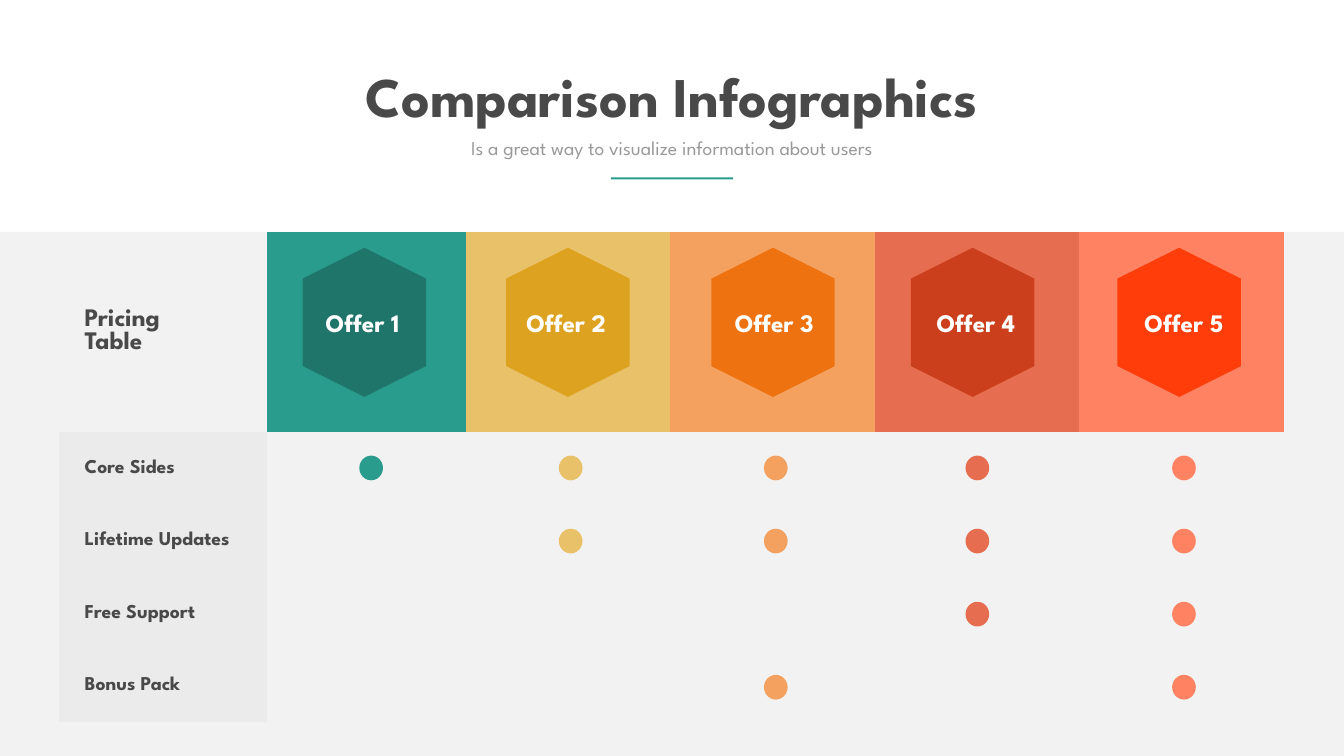
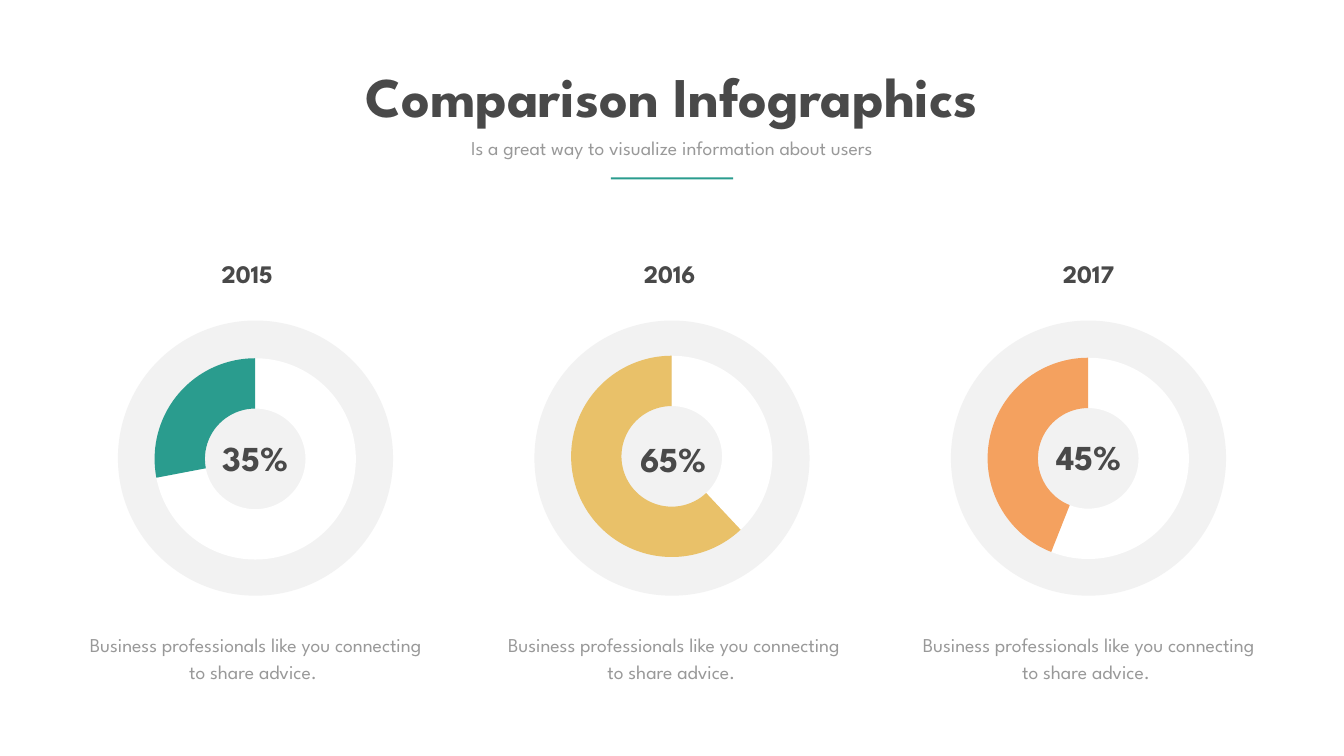
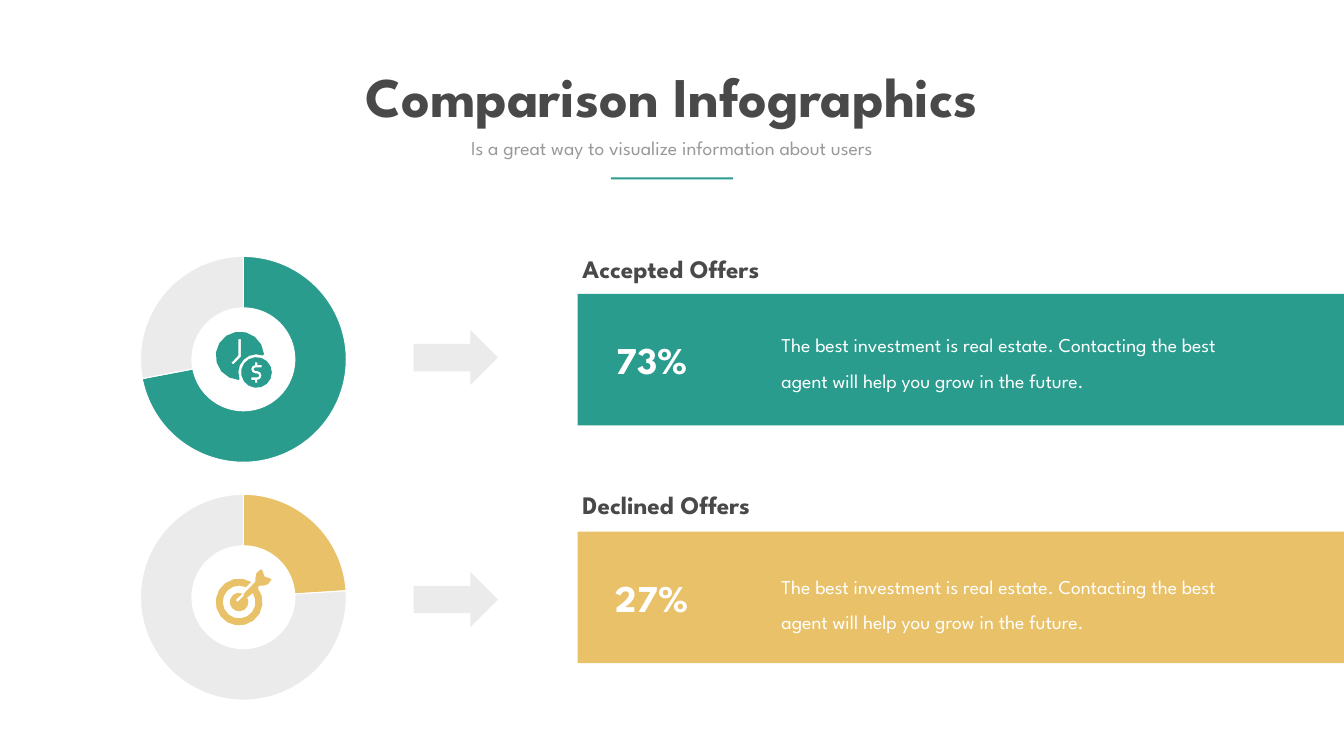
from math import ceil, cos, radians, sin

from pptx import Presentation
from pptx.chart.data import CategoryChartData
from pptx.dml.color import RGBColor
from pptx.enum.chart import XL_CHART_TYPE as CT
from pptx.enum.shapes import MSO_SHAPE as SHAPE
from pptx.enum.text import MSO_ANCHOR as ANCHOR, MSO_AUTO_SIZE as AUTO, PP_ALIGN as ALIGN
from pptx.oxml.ns import qn
from pptx.util import Inches, Pt

W, H = 26.67, 15
FONT = "League Spartan"
NO_GRID = "{2D5ABB26-0587-4C30-8999-92F81FD0307C}"
C = {
    "white": "FFFFFF", "ink": "494949", "muted": "999999",
    "pale": "F2F2F2", "grey": "EBEBEB",
    "teal": "2A9C8E", "gold": "E9C169", "orange": "F4A15F", "red": "E66D50", "coral": "FF8362",
    "teal_dark": "20756B", "gold_dark": "DDA220", "orange_dark": "EE7210",
    "red_dark": "CB3F1D", "coral_dark": "FF3D0A",
}

TITLE = "Comparison Infographics"
SUBTITLE = "Is a great way to visualize information about users"

FEATURES = ["Core Sides", "Lifetime Updates", "Free Support", "Bonus Pack"]
OFFERS = [
    dict(name="Offer 1", color="teal", rows=[0], hex_x=5.99, label_x=6, dot_x=7.13),
    dict(name="Offer 2", color="gold", rows=[0, 1], hex_x=10.03, label_x=10.04, dot_x=11.09),
    dict(name="Offer 3", color="orange", rows=[0, 1, 3], hex_x=14.1, label_x=14.17, dot_x=15.16),
    dict(name="Offer 4", color="red", rows=[0, 1, 2], hex_x=18.06, label_x=18.17, dot_x=19.16),
    dict(name="Offer 5", color="coral", rows=[0, 1, 2, 3], hex_x=22.16, label_x=22.3, dot_x=23.26),
]

YEAR_NOTE = "Business professionals like you connecting to share advice. "
YEARS = [
    dict(year="2015", pct="35%", vals=(72, 28), color="teal",
         year_x=3.74, year_w=2.33, ring_y=6.97, pct_x=3.85, pct_y=8.61, note_x=1.55),
    dict(year="2016", pct="65%", vals=(38, 62), color="gold",
         year_x=11.87, year_w=2.84, ring_y=6.92, pct_x=12.15, pct_y=8.63, note_x=9.85),
    dict(year="2017", pct="45%", vals=(56, 44), color="orange",
         year_x=20.29, year_w=2.62, ring_y=6.96, pct_x=20.39, pct_y=8.59, note_x=18.08),
]

OFFER_NOTE = ("The best investment is real estate. Contacting the best "
              "agent will help you grow in the future.")
RESULTS = [
    dict(name="Accepted Offers", pct="73%", vals=(72, 28), color="teal",
         bar=5.83, head=4.98, note=6.33, arrow=6.55),
    dict(name="Declined Offers", pct="27%", vals=(24, 76), color="gold",
         bar=10.55, head=9.66, note=11.12, arrow=11.35),
]


def rgb(name):
    return RGBColor.from_string(C[name])


def style(p, size, color, bold=False, align=None):
    p.alignment = align
    for r in p.runs:
        f = r.font
        f.name, f.size, f.bold = FONT, Pt(size), bold
        f.color.rgb = rgb(color)


def paint(sp, color):
    sp.shadow.inherit = False
    sp.fill.solid()
    sp.fill.fore_color.rgb = rgb(color)
    sp.line.fill.background()
    return sp


def shape(s, kind, x, y, w, h, color):
    return paint(s.shapes.add_shape(kind, *map(Inches, (x, y, w, h))), color)


def text(s, words, x, y, w, h, size, color, bold=False, align=ALIGN.CENTER, spacing=None):
    tf = s.shapes.add_textbox(*map(Inches, (x, y, w, h))).text_frame
    tf.word_wrap, tf.auto_size = True, AUTO.SHAPE_TO_FIT_TEXT
    tf.text = words
    p = tf.paragraphs[0]
    style(p, size, color, bold, align)
    if spacing:
        p.line_spacing = spacing


def doughnut(s, x, y, w, h, vals, colors, hole, font, size, border=None):
    data = CategoryChartData()
    data.categories = ["1", "2"]
    data.add_series("Series 1", vals)
    chart = s.shapes.add_chart(CT.DOUGHNUT, *map(Inches, (x, y, w, h)), data).chart
    chart.has_title = chart.has_legend = False
    f = chart.font
    f.name, f.size = font, Pt(size)
    f.color.rgb = rgb("muted")
    plot = chart.plots[0]
    plot.vary_by_categories = True
    plot._element.find(qn("c:holeSize")).set("val", str(hole))
    for i, color in enumerate(colors):
        fmt = plot.series[0].points[i].format
        fmt.fill.solid()
        fmt.fill.fore_color.rgb = rgb(color)
        if border:
            fmt.line.color.rgb = rgb(border)
            fmt.line.width = Pt(1.5)
        else:
            fmt.line.fill.background()


def arc(cx, cy, r, start, end, step=24):
    n = ceil(abs(end - start) / step)
    angles = [radians(start + (end - start) * i / n) for i in range(n + 1)]
    return [(cx + r * cos(a), cy + r * sin(a)) for a in angles]


def outline(s, contours, color):
    scaled = [[(x * 1000, y * 1000) for x, y in c] for c in contours]
    fb = s.shapes.build_freeform(*scaled[0][0], scale=914.4)
    for i, c in enumerate(scaled):
        if i:
            fb.move_to(*c[0])
        fb.add_line_segments(c[1:], close=True)
    paint(fb.convert_to_shape(), color)


def new_slide(prs):
    s = prs.slides.add_slide(prs.slide_layouts[5])
    t = s.shapes.title
    t.left, t.top, t.width, t.height = map(Inches, (6.21, 1.17, 14.23, 1.45))
    tf = t.text_frame
    tf.text = TITLE
    tf.word_wrap, tf.auto_size, tf.vertical_anchor = False, AUTO.NONE, ANCHOR.TOP
    style(tf.paragraphs[0], 80, "ink", True, ALIGN.CENTER)
    text(s, SUBTITLE, 8.55, 2.65, 9.56, 0.57, 28, "muted")
    shape(s, SHAPE.RECTANGLE, 12.12, 3.52, 2.43, 0.04, "teal")
    return s


def pricing_table(s):
    cols, rows = [4.12, 3.94] + [4.06] * 4, [3.98] + [5.75 / 4] * 4
    frame = s.shapes.add_table(len(rows), len(cols), *map(Inches, (1.18, 4.6, sum(cols), sum(rows))))
    tbl = frame.table
    tbl._tbl.tblPr.find(qn("a:tableStyleId")).text = NO_GRID
    for i, w in enumerate(cols):
        tbl.columns[i].width = Inches(w)
    for i, h in enumerate(rows):
        tbl.rows[i].height = Inches(h)
    for i, label in enumerate(["Pricing\nTable"] + FEATURES):
        fills = ["grey"] + ["pale"] * 5 if i else ["pale"] + [d["color"] for d in OFFERS]
        for j, color in enumerate(fills):
            cell = tbl.cell(i, j)
            cell.fill.solid()
            cell.fill.fore_color.rgb = rgb(color)
        cell = tbl.cell(i, 0)
        cell.text = label
        cell.margin_left = Inches(0.5)
        cell.vertical_anchor = ANCHOR.MIDDLE
        for p in cell.text_frame.paragraphs:
            style(p, 28 if i else 36, "ink", True)


def pricing_slide(prs):
    s = new_slide(prs)
    shape(s, SHAPE.RECTANGLE, 0, 4.6, W, H - 4.6, "pale")
    pricing_table(s)
    for d in OFFERS:
        hexagon = shape(s, SHAPE.HEXAGON, d["hex_x"] - 0.24, 5.17, 2.96, 2.45, d["color"] + "_dark")
        hexagon.rotation = 270
    for d in OFFERS:
        text(s, d["name"], d["label_x"], 6.04, 2.39, 0.71, 36, "white", True)
    for d in OFFERS:
        for row in d["rows"]:
            shape(s, SHAPE.OVAL, d["dot_x"], 9.04 + 1.45 * row, 0.47, 0.49, d["color"])


def years_slide(prs):
    s = new_slide(prs)
    for i, d in enumerate(YEARS):
        ring_x = 2.34 + 8.265 * i
        shape(s, SHAPE.OVAL, ring_x, 6.36, 5.46, 5.46, "pale")
        text(s, YEAR_NOTE, d["note_x"], 12.43, 7.04, 1.18, 28, "muted", spacing=Pt(38.6))
        doughnut(s, ring_x - 0.48, d["ring_y"], 6.41, 4.27, d["vals"],
                 ["white", d["color"]], 75, "Calibri", 10)
        text(s, d["pct"], d["pct_x"], d["pct_y"], 2.43, 0.94, 50, "ink", True)
        text(s, d["year"], d["year_x"], 5.07, d["year_w"], 0.71, 36, "ink", True)


def clock_and_coin(s, color):
    hands = [(4.73, 6.73), (4.78, 6.73), (4.78, 7.08), (4.63, 7.23), (4.59, 7.2), (4.73, 7.05)]
    clock = arc(4.76, 7.06, 0.48, 92, 356) + arc(5.09, 7.39, 0.36, -70, -200)
    dollar = ([(5.06, 7.19), (5.11, 7.19), (5.11, 7.24), (5.19, 7.24), (5.19, 7.29)]
              + arc(5.07, 7.325, 0.035, -90, -270, 60) + arc(5.1, 7.45, 0.09, -90, 90, 45)
              + [(5.11, 7.59), (5.06, 7.59), (5.06, 7.54), (4.99, 7.54), (4.99, 7.49)]
              + arc(5.1, 7.45, 0.04, 90, -90, 60) + arc(5.07, 7.325, 0.085, 90, 270, 45)
              + [(5.06, 7.24)])
    outline(s, [clock, hands], color)
    outline(s, [arc(5.09, 7.39, 0.305, 0, 360), dollar], color)


def target(s, color):
    cx, cy = 4.745, 11.945
    feather = [(5.15, 11.62), (5.23, 11.62), (5.32, 11.59), (5.39, 11.49), (5.25, 11.44),
               (5.2, 11.3), (5.17, 11.3), (5.09, 11.37), (5.07, 11.46), (5.07, 11.54)]
    tip = [(4.84, 11.78), (4.84, 11.82), (4.73, 11.93), (4.69, 11.93), (4.69, 11.89), (4.79, 11.8)]
    rings = (arc(cx, cy, 0.185, -74, -390, 30) + arc(cx, cy, 0.325, -33, 295)
             + arc(cx, cy, 0.465, -59, -398))
    outline(s, [feather + tip + rings], color)


def results_slide(prs):
    s = new_slide(prs)
    for d, icon in zip(RESULTS, (clock_and_coin, target)):
        bar, color = d["bar"], d["color"]
        shape(s, SHAPE.RECTANGLE, 11.46, bar, W - 11.46, 2.61, color)
        text(s, OFFER_NOTE, 15.41, d["note"], 9.36, 1.46, 28, "white", align=ALIGN.LEFT, spacing=1.5)
        text(s, d["name"], 11.46, d["head"], 6.41, 0.71, 36, "ink", True, ALIGN.LEFT)
        text(s, d["pct"], 11.97, bar + 0.8, 1.94, 1.01, 54, "white", True)
        doughnut(s, 2.65, bar - 1.14, 4.36, 4.88, d["vals"], [color, "grey"],
                 70, "Manrope", 20, "white")
        shape(s, SHAPE.RIGHT_ARROW, 8.21, d["arrow"], 1.67, 1.09, "grey")
        icon(s, color)


def main():
    prs = Presentation()
    prs.slide_width, prs.slide_height = Inches(W), Inches(H)
    pricing_slide(prs)
    years_slide(prs)
    results_slide(prs)
    prs.save("out.pptx")


if __name__ == "__main__":
    main()
